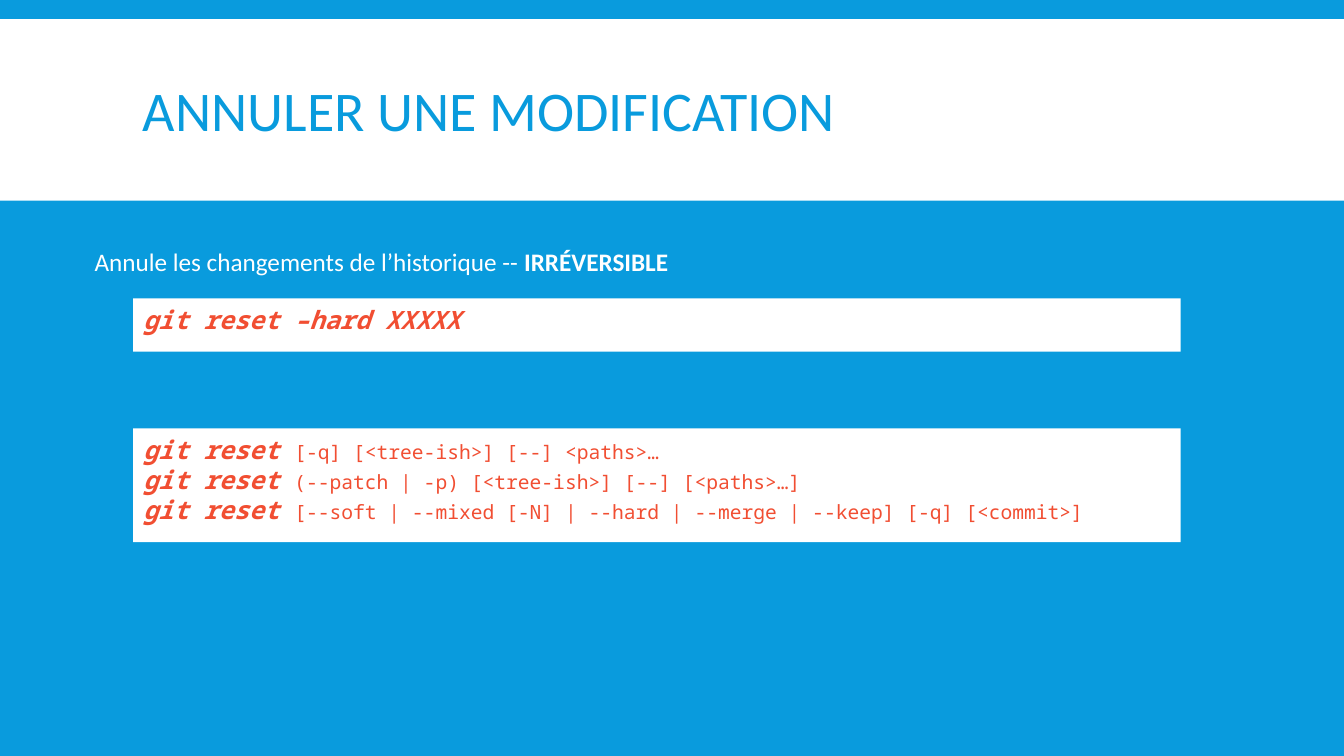
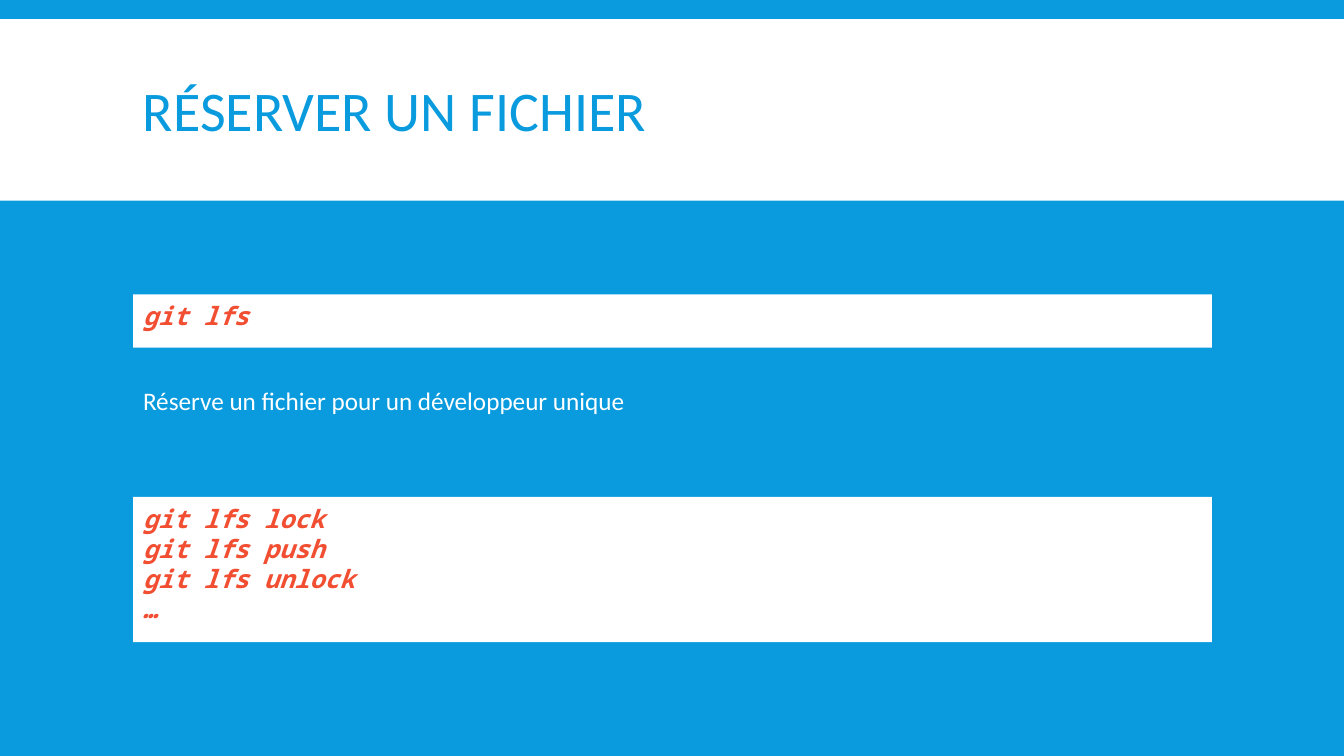
from dataclasses import dataclass

from pptx import Presentation
from pptx.dml.color import RGBColor
from pptx.enum import shapes, text
from pptx.util import Inches, Pt

COLORS = {"blue": "099BDD", "white": "FFFFFF", "orange": "F14E32"}
SLIDE_WIDTH, SLIDE_HEIGHT = 13.33, 7.5
LEFT = 1.32
CONTENT_WIDTH = 10.7
CODE_INSETS = {"margin_left": 0.1, "margin_top": 0.05, "margin_right": 0.1, "margin_bottom": 0.17}
FORMATS = {
    "title": {"name": "Calibri", "size": Pt(40), "color": "blue"},
    "body": {"name": "Calibri", "size": Pt(18), "color": "white"},
    "strong": {"name": "Calibri", "size": Pt(18), "color": "white", "bold": True},
    "command": {"name": "Noto Sans Mono", "size": Pt(18), "color": "orange", "bold": True, "italic": True},
    "options": {"name": "Noto Sans Mono", "size": Pt(14), "color": "orange"},
}


@dataclass
class Piece:
    words: str
    style: str


@dataclass
class Box:
    left: float
    top: float
    width: float
    height: float
    lines: list[list[Piece]]

    def position(self) -> list[int]:
        return [Inches(value) for value in (self.left, self.top, self.width, self.height)]


@dataclass
class Page:
    title: str
    code_boxes: list[Box]
    caption: Box
    caption_wraps: bool


def color(name: str) -> RGBColor:
    return RGBColor.from_string(COLORS[name])


def write_lines(frame, lines: list[list[Piece]]) -> None:
    for index, pieces in enumerate(lines):
        paragraph = frame.paragraphs[0] if index == 0 else frame.add_paragraph()
        paragraph.alignment = text.PP_ALIGN.LEFT
        for piece in pieces:
            run = paragraph.add_run()
            run.text = piece.words
            for key, value in FORMATS[piece.style].items():
                if key == "color":
                    run.font.color.rgb = color(value)
                else:
                    setattr(run.font, key, value)


def add_white_box(slide, box: Box):
    shape = slide.shapes.add_shape(shapes.MSO_SHAPE.RECTANGLE, *box.position())
    shape.shadow.inherit = False
    shape.fill.solid()
    shape.fill.fore_color.rgb = color("white")
    shape.line.fill.background()
    return shape


def add_code(slide, box: Box) -> None:
    frame = add_white_box(slide, box).text_frame
    frame.word_wrap = True
    frame.auto_size = text.MSO_AUTO_SIZE.SHAPE_TO_FIT_TEXT
    frame.vertical_anchor = text.MSO_ANCHOR.MIDDLE
    for side, inset in CODE_INSETS.items():
        setattr(frame, side, Inches(inset))
    write_lines(frame, box.lines)


def add_text(slide, box: Box, wraps: bool = True):
    frame = slide.shapes.add_textbox(*box.position()).text_frame
    frame.word_wrap = wraps
    write_lines(frame, box.lines)
    return frame


def add_page(presentation, page: Page) -> None:
    slide = presentation.slides.add_slide(presentation.slide_layouts[6])
    slide.background.fill.solid()
    slide.background.fill.fore_color.rgb = color("blue")
    add_white_box(slide, Box(0, 0.19, SLIDE_WIDTH, 1.8, []))

    title = Box(LEFT, 0.31, CONTENT_WIDTH, 1.65, [[Piece(page.title, "title")]])
    frame = add_text(slide, title)
    frame.vertical_anchor = text.MSO_ANCHOR.MIDDLE
    frame.paragraphs[0].line_spacing = 0.85

    for box in page.code_boxes:
        add_code(slide, box)
    caption_frame = add_text(slide, page.caption, page.caption_wraps)
    caption_frame.auto_size = text.MSO_AUTO_SIZE.SHAPE_TO_FIT_TEXT


def commands(*lines: str) -> list[list[Piece]]:
    return [[Piece(line, "command")] for line in lines]


RESET_OPTIONS = [
    "[-q] [<tree-ish>] [--] <paths>…",
    "(--patch | -p) [<tree-ish>] [--] [<paths>…]",
    "[--soft | --mixed [-N] | --hard | --merge | --keep] [-q] [<commit>]",
]
RESET_USAGE = [[Piece("git reset ", "command"), Piece(options, "options")] for options in RESET_OPTIONS]
RESET_WIDTH = 10.39

PAGES = [
    Page(
        "ANNULER UNE MODIFICATION",
        [
            Box(LEFT, 4.25, RESET_WIDTH, 1.13, RESET_USAGE),
            Box(LEFT, 2.96, RESET_WIDTH, 0.53, commands("git reset –hard XXXXX")),
        ],
        Box(0.84, 2.39, 6.19, 0.4, [[
            Piece("Annule les changements de l’historique -- ", "body"),
            Piece("IRRÉVERSIBLE", "strong"),
        ]]),
        caption_wraps=False,
    ),
    Page(
        "RÉSERVER UN FICHIER",
        [
            Box(LEFT, 2.92, CONTENT_WIDTH, 0.53, commands("git lfs")),
            Box(LEFT, 4.93, CONTENT_WIDTH, 1.44,
                commands("git lfs lock", "git lfs push", "git lfs unlock", "…")),
        ],
        Box(LEFT, 3.77, 8.95, 0.4, [[Piece("Réserve un fichier pour un développeur unique", "body")]]),
        caption_wraps=True,
    ),
]


def main() -> None:
    presentation = Presentation()
    presentation.slide_width = Inches(SLIDE_WIDTH)
    presentation.slide_height = Inches(SLIDE_HEIGHT)
    for page in PAGES:
        add_page(presentation, page)
    presentation.save("out.pptx")


if __name__ == "__main__":
    main()
